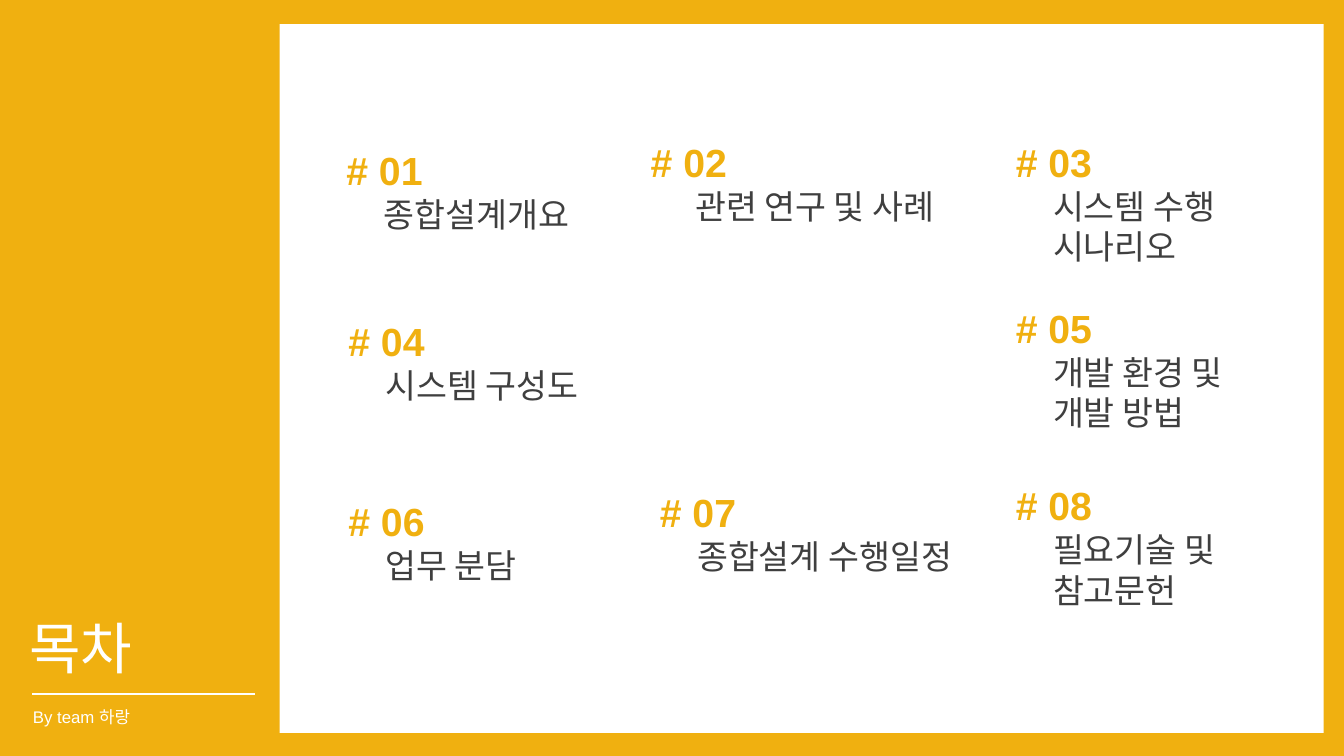
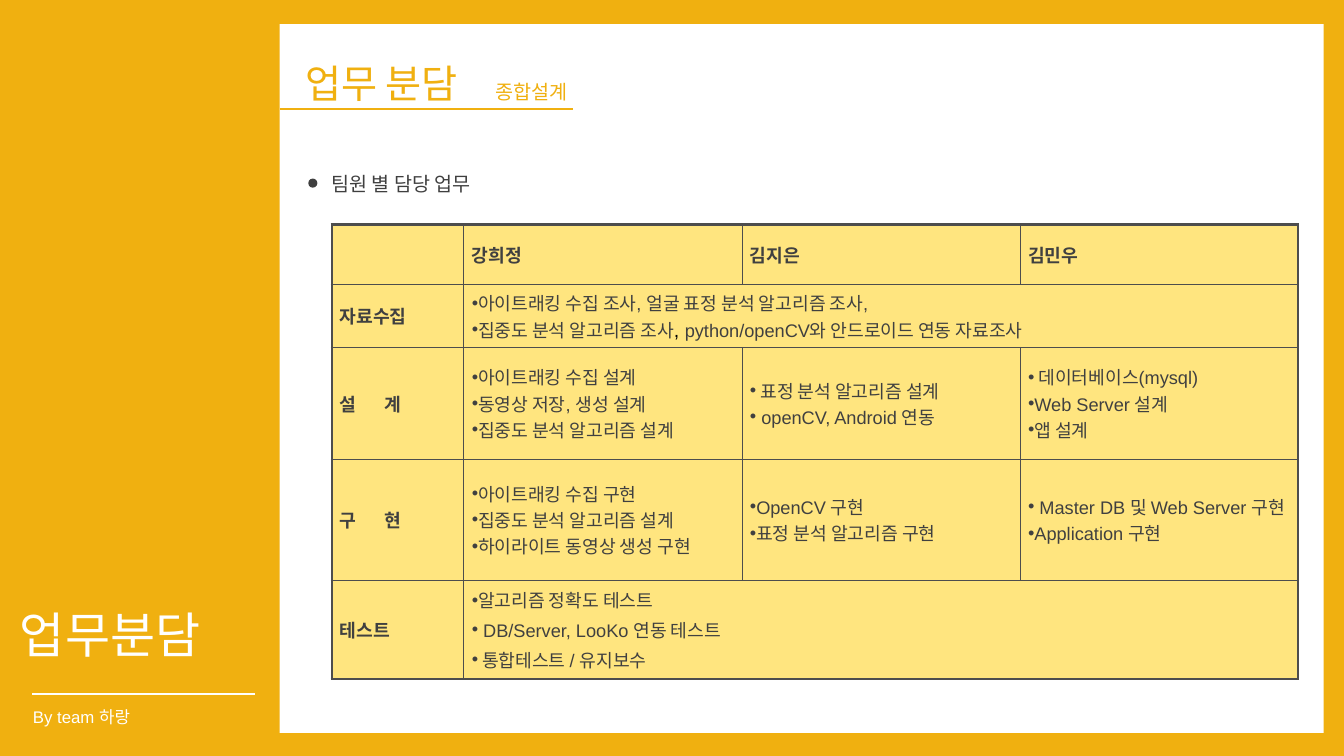
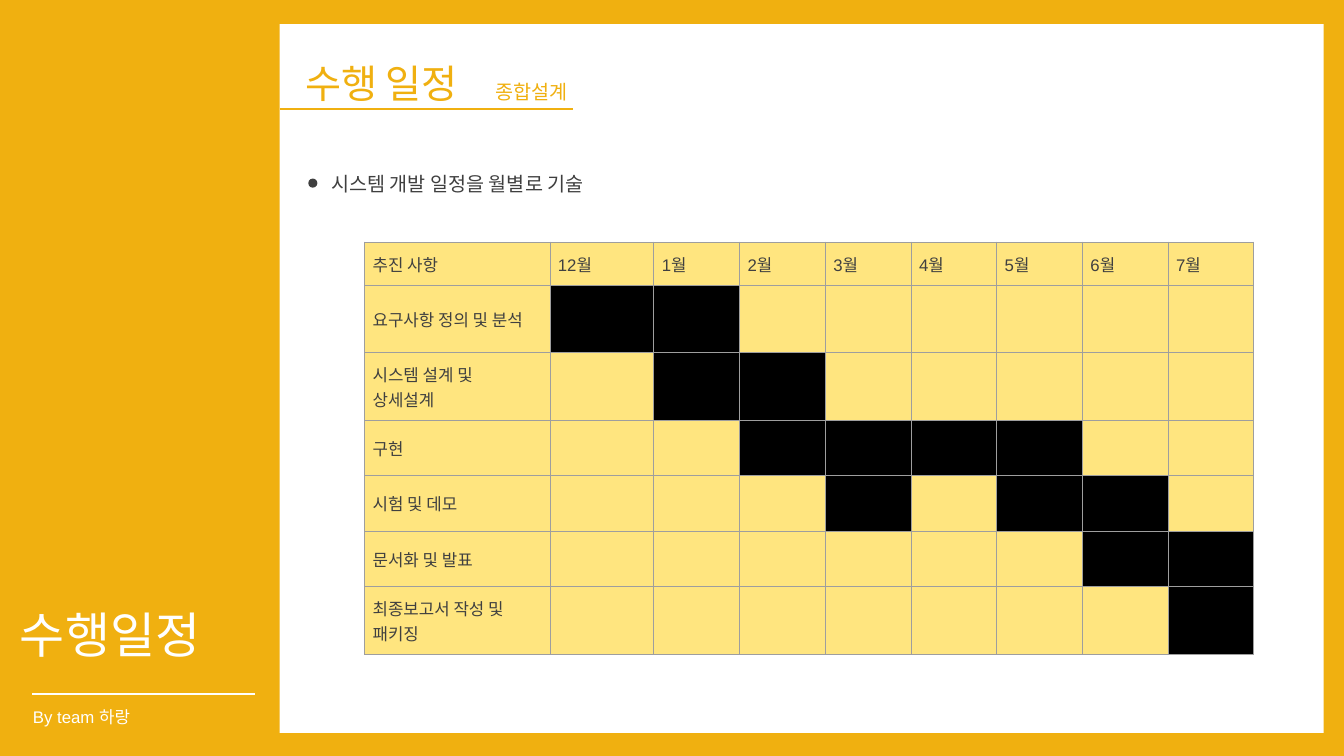
from dataclasses import dataclass

from lxml import etree
from pptx import Presentation
from pptx.dml.color import RGBColor
from pptx.enum import shapes, text
from pptx.oxml import ns
from pptx.util import Cm, Pt

AMBER = RGBColor(0xF0, 0xB0, 0x10)
CREAM = RGBColor(0xFF, 0xE5, 0x7F)
WHITE = RGBColor(0xFF, 0xFF, 0xFF)
BLACK = RGBColor(0x00, 0x00, 0x00)
CHARCOAL = RGBColor(0x3F, 0x3F, 0x3F)
TABLE_INK = RGBColor(0x40, 0x40, 0x40)
DARK_LINE = RGBColor(0x4D, 0x4D, 0x4D)
GREY_LINE = RGBColor(0x9E, 0x9E, 0x9E)
FONT = "Arial"
PANEL_LEFT = 7.05
TITLE_ONLY = 5


@dataclass(frozen=True)
class Style:
    """Size, colour and weight of text."""
    size: float
    color: RGBColor
    bold: bool = False


@dataclass(frozen=True)
class Area:
    """Position and size in centimetres."""
    left: float
    top: float
    width: float
    height: float

    def lengths(self) -> tuple:
        """Return the four values as lengths."""
        return Cm(self.left), Cm(self.top), Cm(self.width), Cm(self.height)


@dataclass(frozen=True)
class Entry:
    """One numbered item of the contents page."""
    number: int
    left: float
    top: float
    lines: str
    width: float = 6.4
    indent: float = 0.94


@dataclass(frozen=True)
class Grid:
    """Geometry and look of a table."""
    left: float
    top: float
    columns: tuple
    rows: tuple
    margin: float
    line: RGBColor
    inner: float
    outer: float


ENTRIES = (
    Entry(1, 8.48, 3.56, "종합설계개요"),
    Entry(2, 16.15, 3.35, "관련 연구 및 사례", 7.62, 1.12),
    Entry(3, 25.35, 3.35, "시스템 수행\n시나리오"),
    Entry(4, 8.53, 7.87, "시스템 구성도"),
    Entry(5, 25.35, 7.54, "개발 환경 및\n개발 방법"),
    Entry(6, 8.53, 12.4, "업무 분담"),
    Entry(7, 16.38, 12.19, "종합설계 수행일정", 7.92),
    Entry(8, 25.35, 12.01, "필요기술 및\n참고문헌"),
)

DUTY_GRID = Grid(8.36, 5.66, (3.33,) + (7.01,) * 3,
                 (1.52, 1.57, 2.82, 3.05, 2.49), 0.1, DARK_LINE, 0.8, 1.8)
DUTIES = (
    ("", "강희정", "김지은", "김민우"),
    ("자료수집",
     "아이트래킹 수집 조사, 얼굴 표정 분석 알고리즘 조사,\n집중도 분석 알고리즘 조사"),
    ("설 계",
     "아이트래킹 수집 설계\n동영상 저장, 생성 설계\n집중도 분석 알고리즘 설계",
     " 표정 분석 알고리즘 설계\n openCV, Android 연동",
     " 데이터베이스(mysql)\nWeb Server 설계\n앱 설계"),
    ("구 현",
     "아이트래킹 수집 구현\n집중도 분석 알고리즘 설계\n하이라이트 동영상 생성 구현",
     "OpenCV 구현\n표정 분석 알고리즘 구현",
     " Master DB 및 Web Server 구현\nApplication 구현"),
    ("테스트",
     "알고리즘 정확도 테스트\n DB/Server, LooKo 연동 테스트\n 통합테스트 / 유지보수"),
)

PLAN_GRID = Grid(9.19, 6.1, (4.67, 2.62) + (2.16,) * 7,
                 (1.09, 1.7, 1.7, 1.4, 1.4, 1.4, 1.7), 0.2, GREY_LINE, 0.75, 0.75)
MONTHS = (12, 1, 2, 3, 4, 5, 6, 7)
PLAN = (
    ("요구사항 정의 및 분석", (12, 1)),
    ("시스템 설계 및\n상세설계", (1, 2)),
    ("구현", (2, 3, 4, 5)),
    ("시험 및 데모", (3, 5, 6)),
    ("문서화 및 발표", (6, 7)),
    ("최종보고서 작성 및 패키징", (7,)),
)


def style_span(span, style: Style) -> None:
    """Apply a style to one run."""
    span.font.name = FONT
    span.font.size = Pt(style.size)
    span.font.bold = style.bold
    span.font.color.rgb = style.color


def write(frame, words: str, style: Style) -> None:
    """Fill a text frame and format its runs."""
    frame.text = words
    for para in frame.paragraphs:
        for span in para.runs:
            style_span(span, style)


def add_label(page, area: Area, words: str, style: Style) -> None:
    """Add a wrapped text box."""
    box = page.shapes.add_textbox(*area.lengths())
    box.text_frame.word_wrap = True
    write(box.text_frame, words, style)


def add_block(page, kind, area: Area, color: RGBColor) -> None:
    """Add a plain filled shape."""
    block = page.shapes.add_shape(kind, *area.lengths())
    block.shadow.inherit = False
    block.fill.solid()
    block.fill.fore_color.rgb = color
    block.line.fill.background()


def add_rule(page, left: float, right: float, top: float, color: RGBColor, width: float) -> None:
    """Add a horizontal line."""
    rule = page.shapes.add_connector(
        shapes.MSO_CONNECTOR.STRAIGHT, Cm(left), Cm(top), Cm(right), Cm(top))
    rule.line.color.rgb = color
    rule.line.width = Pt(width)
    etree.SubElement(rule._element.spPr, ns.qn("a:effectLst"))


def add_page(deck, name: str, area: Area, size: float):
    """Add a page with its white panel, sidebar title and byline."""
    page = deck.slides.add_slide(deck.slide_layouts[TITLE_ONLY])
    add_block(page, shapes.MSO_SHAPE.RECTANGLE, Area(PANEL_LEFT, 0.61, 26.31, 17.86), WHITE)
    title = page.shapes.title
    title.left, title.top, title.width, title.height = area.lengths()
    frame = title.text_frame
    write(frame, name, Style(size, WHITE))
    frame.auto_size = text.MSO_AUTO_SIZE.NONE
    frame.vertical_anchor = text.MSO_ANCHOR.TOP
    frame.paragraphs[0].alignment = text.PP_ALIGN.LEFT
    add_rule(page, 0.81, 6.43, 17.48, WHITE, 1.25)
    add_label(page, Area(0.58, 17.68, 4, 0.76), "By team 하랑", Style(12, WHITE))
    return page


def add_topic_page(deck, name: str, heading: str, point: str):
    """Add a page with a heading and one bullet point."""
    page = add_page(deck, name, Area(0.25, 15.11, 6.35, 1.75), 35)
    add_rule(page, PANEL_LEFT, 14.43, 2.74, AMBER, 1.75)
    add_label(page, Area(7.44, 1.37, 4.85, 1.45), heading, Style(28, AMBER))
    add_label(page, Area(12.24, 1.9, 2.51, 0.86), "종합설계", Style(14, AMBER))
    add_block(page, shapes.MSO_SHAPE.OVAL, Area(7.77, 4.5, 0.23, 0.23), CHARCOAL)
    add_label(page, Area(8.1, 4.22, 7.7, 0.86), point, Style(14, CHARCOAL))
    return page


def set_borders(cell, color: RGBColor, widths: dict) -> None:
    """Draw the borders of a cell ahead of its fill."""
    properties = cell._tc.get_or_add_tcPr()
    for index, side in enumerate("LRTB"):
        line = etree.Element(ns.qn(f"a:ln{side}"), w=str(Pt(widths[side])))
        fill = etree.SubElement(line, ns.qn("a:solidFill"))
        etree.SubElement(fill, ns.qn("a:srgbClr"), val=str(color))
        properties.insert(index, line)


def add_grid(page, grid: Grid, wide_rows: tuple = ()):
    """Add an empty table, merging all but the first cell of wide rows."""
    area = Area(grid.left, grid.top, sum(grid.columns), sum(grid.rows))
    last_row, last_column = len(grid.rows) - 1, len(grid.columns) - 1
    table = page.shapes.add_table(last_row + 1, last_column + 1, *area.lengths()).table
    table.first_row = table.horz_banding = False
    for column, width in zip(table.columns, grid.columns):
        column.width = Cm(width)
    for row, height in zip(table.rows, grid.rows):
        row.height = Cm(height)
    for row in wide_rows:
        table.cell(row, 1).merge(table.cell(row, last_column))
    for row in range(last_row + 1):
        for column in range(last_column + 1):
            cell = table.cell(row, column)
            cell.fill.solid()
            cell.fill.fore_color.rgb = CREAM
            cell.vertical_anchor = text.MSO_ANCHOR.MIDDLE
            cell.margin_left = cell.margin_right = Cm(0.2)
            cell.margin_top = cell.margin_bottom = Cm(grid.margin)
            right = column + cell.span_width - 1 if cell.is_merge_origin else column
            edges = {"L": column == 0, "R": right == last_column,
                     "T": row == 0, "B": row == last_row}
            set_borders(cell, grid.line, {
                side: grid.outer if edge else grid.inner for side, edge in edges.items()})
    return table


def add_bullet(para) -> None:
    """Give a paragraph a hanging bullet."""
    properties = para._p.get_or_add_pPr()
    properties.set("marL", "0")
    properties.set("indent", str(-Cm(0.23)))
    etree.SubElement(properties, ns.qn("a:buFont"), typeface=FONT)
    etree.SubElement(properties, ns.qn("a:buChar"), char="•")


def build_contents(deck) -> None:
    """Build the contents page."""
    page = add_page(deck, "목차", Area(0.48, 15.32, 3.78, 1.96), 40)
    for entry in ENTRIES:
        add_label(page, Area(entry.left, entry.top, 3.4, 1.45),
                  f"# {entry.number:02}", Style(28, AMBER, True))
        height = 1.27 + 1.04 * entry.lines.count("\n")
        add_label(page, Area(entry.left + entry.indent, entry.top + 1.2, entry.width, height),
                  entry.lines, Style(24, CHARCOAL))


def build_duties(deck) -> None:
    """Build the page on who does what."""
    page = add_topic_page(deck, "업무분담", "업무 분담", "팀원 별 담당 업무")
    table = add_grid(page, DUTY_GRID, (1, 4))
    plain = Style(13, TABLE_INK)
    for row, duties in enumerate(DUTIES):
        for column, words in enumerate(duties):
            is_head = row == 0 or column == 0
            frame = table.cell(row, column).text_frame
            write(frame, words, Style(13, TABLE_INK, is_head))
            if not is_head:
                for para in frame.paragraphs:
                    add_bullet(para)
    for row in (2, 3):
        stage = table.cell(row, 0).text_frame.paragraphs[0].runs[0]
        stage._r.get_or_add_rPr().set("spc", "870")
    research = table.cell(1, 1).text_frame.paragraphs[1]
    for words, style in ((", ", Style(14, BLACK)),
                         ("python/openCV와 안드로이드 연동 자료조사", plain)):
        span = research.add_run()
        span.text = words
        style_span(span, style)
    for para in table.cell(4, 1).text_frame.paragraphs[1:]:
        para.space_before = Pt(2.6)


def build_plan(deck) -> None:
    """Build the monthly schedule page."""
    page = add_topic_page(deck, "수행일정", "수행 일정", "시스템 개발 일정을 월별로 기술")
    table = add_grid(page, PLAN_GRID)
    style = Style(12, TABLE_INK)
    heads = ("추진 사항",) + tuple(f"{month}월" for month in MONTHS)
    for column, words in enumerate(heads):
        write(table.cell(0, column).text_frame, words, style)
    for row, (task, active) in enumerate(PLAN, 1):
        write(table.cell(row, 0).text_frame, task, style)
        for month in active:
            table.cell(row, MONTHS.index(month) + 1).fill.fore_color.rgb = BLACK


def main() -> None:
    """Build and save the deck."""
    deck = Presentation()
    deck.slide_width, deck.slide_height = Cm(33.87), Cm(19.05)
    backdrop = deck.slide_master.background.fill
    backdrop.solid()
    backdrop.fore_color.rgb = AMBER
    build_contents(deck)
    build_duties(deck)
    build_plan(deck)
    deck.save("out.pptx")


if __name__ == "__main__":
    main()
